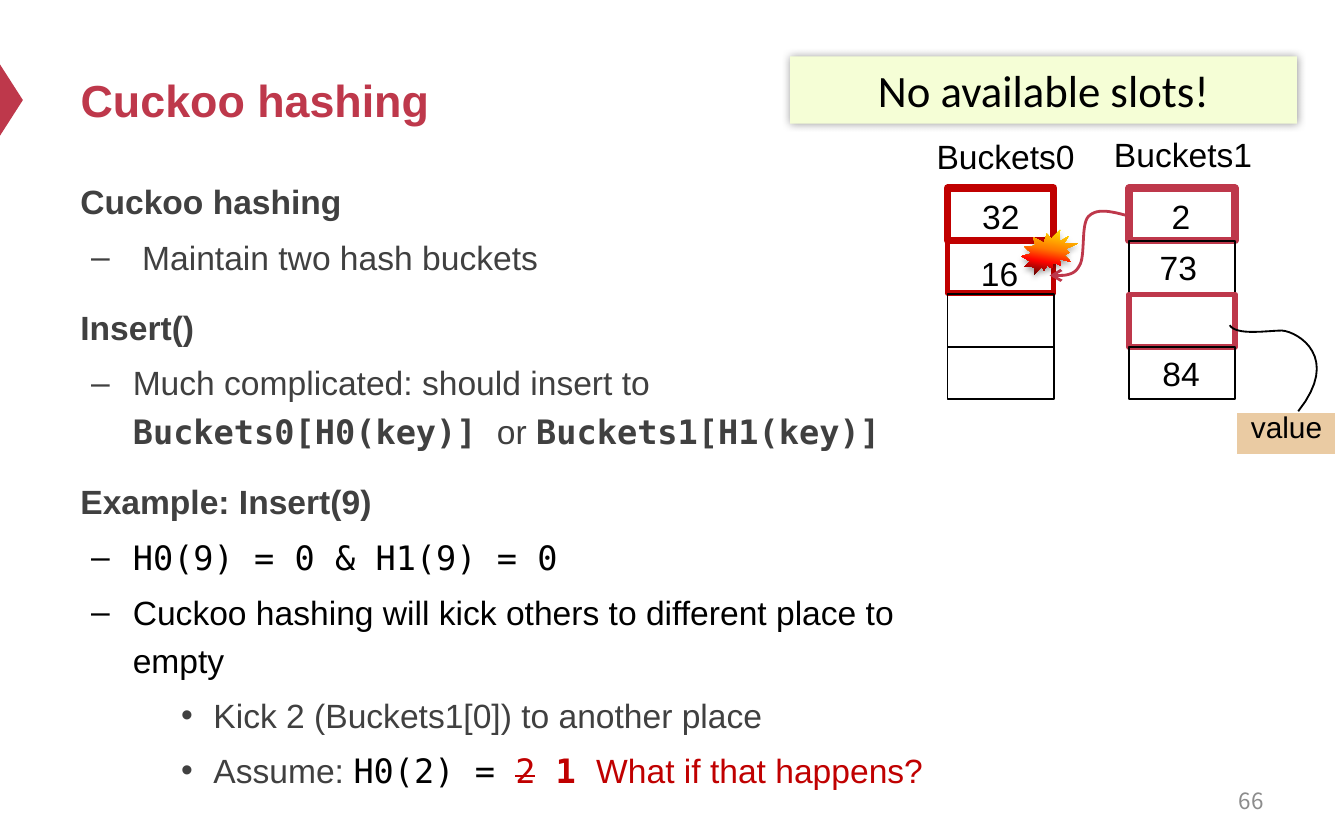
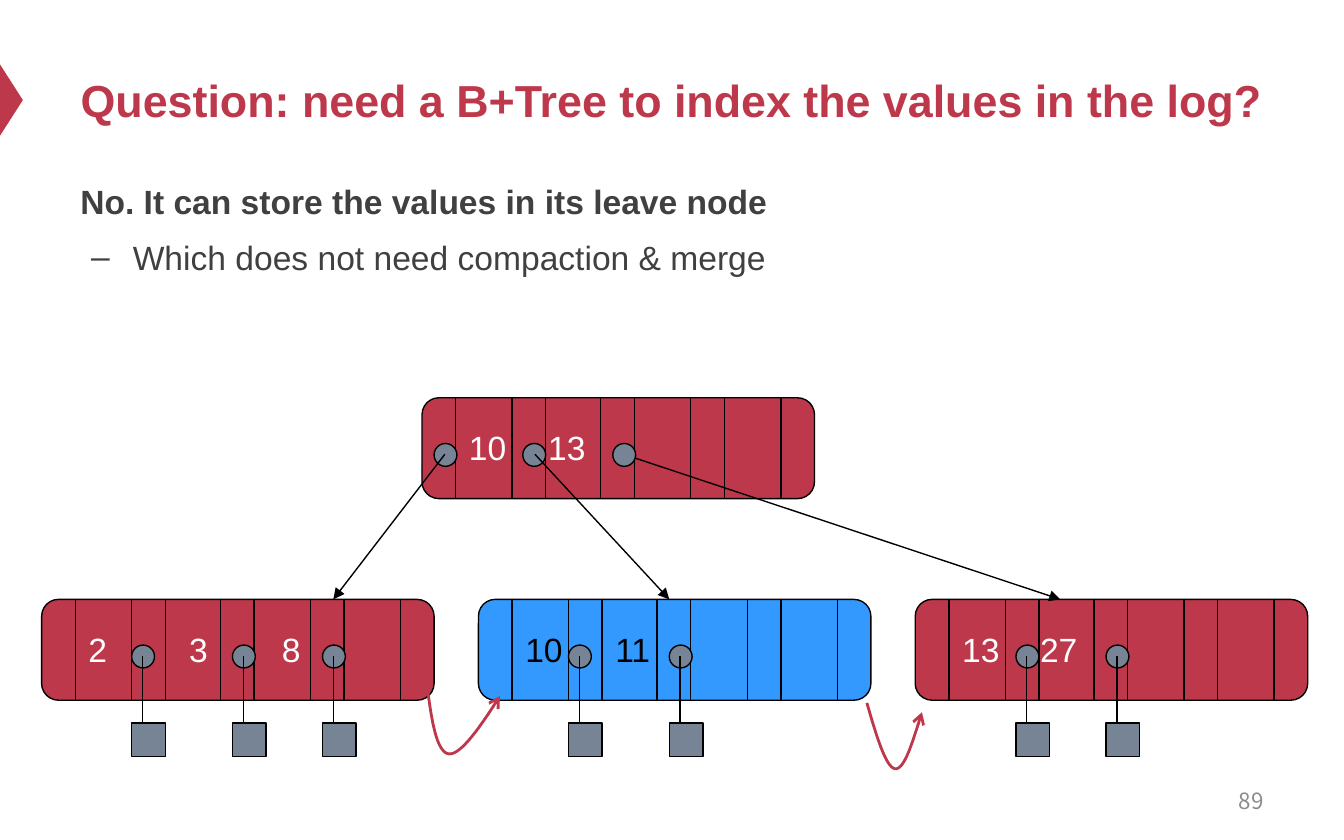
from pptx import Presentation
from pptx import util as u
from pptx.dml.color import RGBColor
from pptx.enum import shapes, text
from pptx.oxml import parse_xml
from pptx.oxml.ns import nsdecls, qn

PX = 9144  # EMU per px: 100 px to the inch
WIDTH, HEIGHT = 1000, 625

CRIMSON = RGBColor(0xBE, 0x38, 0x4B)
RED = RGBColor(0xC0, 0x00, 0x00)
BLUE = RGBColor(0x33, 0x99, 0xFF)
SLATE = RGBColor(0x77, 0x84, 0x95)
SAND = RGBColor(0xEA, 0xCB, 0xA3)
PALE_LIME = RGBColor(0xF5, 0xFE, 0xD6)
DARK_GREY = RGBColor(0x40, 0x40, 0x40)
GREY = RGBColor(0x8C, 0x8C, 0x8C)
BLACK = RGBColor(0, 0, 0)
WHITE = RGBColor(0xFF, 0xFF, 0xFF)
FLAME = [(0, "FFF200"), (45, "FF7A00"), (70, "FF0300"), (100, "4D0808")]

SANS, MONO = "Arial", "DejaVu Sans Mono"
SHAPE = shapes.MSO_SHAPE

# Per outline level: space before (pt), left margin and indent (px), bullet
LEVELS = [(12, 0, 0, None), (3.6, 39, -31, "–"), (3.6, 99, -24, "•")]

NODE_W, NODE_H = 292, 75
POINTER_SLOT, SLOT_PAIR = 25, 66.67
DOT = 17
ROOT_TOP, LEAF_TOP = 296, 446


def emu(*lengths):
    return [round(length * PX) for length in lengths]


def write(paragraph, content, *, size=18, font=SANS, color=BLACK, bold=False, strike=False):
    run = paragraph.add_run()
    run.text = content
    run.font.size = u.Pt(size)
    run.font.name = font
    run.font.color.rgb = color
    run.font.bold = bold
    if strike:
        run.font._element.set("strike", "sngStrike")


def label(slide, content, box, *, wrap=False, align=text.PP_ALIGN.LEFT,
          anchor=text.MSO_ANCHOR.TOP, **style):
    frame = slide.shapes.add_textbox(*emu(*box)).text_frame
    frame.word_wrap = wrap
    frame.vertical_anchor = anchor
    frame.paragraphs[0].alignment = align
    write(frame.paragraphs[0], content, **style)


def outline(slide, box, entries):
    """Write (level, runs) entries, each run being (text, format)."""
    frame = slide.shapes.add_textbox(*emu(*box)).text_frame
    frame.word_wrap = True
    for number, (level, runs) in enumerate(entries):
        paragraph = frame.add_paragraph() if number else frame.paragraphs[0]
        before, margin, indent, bullet = LEVELS[level]
        paragraph.level = level
        paragraph.line_spacing = 1.2
        paragraph.space_before = u.Pt(before if number else 0)
        properties = paragraph._p.get_or_add_pPr()
        properties.set("marL", str(margin * PX))
        properties.set("indent", str(indent * PX))
        if bullet:
            properties.append(parse_xml(f'<a:buFont {nsdecls("a")} typeface="{SANS}"/>'))
            properties.append(parse_xml(f'<a:buChar {nsdecls("a")} char="{bullet}"/>'))
        for content, style in runs:
            write(paragraph, content, **{"color": DARK_GREY, "bold": level == 0, **style})


def set_line(item, color, width, arrow=None):
    item.line.color.rgb = color
    item.line.width = u.Pt(width)
    if arrow:
        item.element.spPr.find(qn("a:ln")).append(
            parse_xml(f'<a:tailEnd {nsdecls("a")} type="{arrow}"/>'))


def block(slide, kind, box, fill=None, line=None, width=0.75):
    shape = slide.shapes.add_shape(kind, *emu(*box))
    shape.shadow.inherit = False
    if fill is None:
        shape.fill.background()
    else:
        shape.fill.solid()
        shape.fill.fore_color.rgb = fill
    if line is None:
        shape.line.fill.background()
    else:
        set_line(shape, line, width)
    return shape


def cast_shadow(shape, opacity, blur, distance=0, direction=0):
    shape.element.spPr.find(qn("a:effectLst")).append(parse_xml(
        f'<a:outerShdw {nsdecls("a")} blurRad="{u.Pt(blur)}" dist="{u.Pt(distance)}" '
        f'dir="{direction * 60000}" rotWithShape="0"><a:srgbClr val="000000">'
        f'<a:alpha val="{opacity * 1000}"/></a:srgbClr></a:outerShdw>'))


def fill_gradient(shape, stops, angle):
    """Fill with (percent, hex colour) stops; angle runs counter-clockwise."""
    shape.fill.gradient()
    shape.fill.gradient_angle = angle
    stop_list = shape.element.spPr.find(qn("a:gradFill")).find(qn("a:gsLst"))
    for stop in list(stop_list):
        stop_list.remove(stop)
    for percent, color in stops:
        stop_list.append(parse_xml(
            f'<a:gs {nsdecls("a")} pos="{percent * 1000}"><a:srgbClr val="{color}"/></a:gs>'))


def straight(slide, start, end, arrow=None):
    connector = slide.shapes.add_connector(
        shapes.MSO_CONNECTOR.STRAIGHT, *emu(*start, *end))
    set_line(connector, BLACK, 0.75, arrow)
    connector.element.spPr.append(parse_xml(f'<a:effectLst {nsdecls("a")}/>'))


def curve(slide, start, bends, color, width, arrow=None, steps=16):
    """Draw an open line through cubic Bezier bends (control, control, end)."""
    points, origin = [], start
    for bend in bends:
        anchors = (origin, *bend)
        for step in range(1, steps + 1):
            t = step / steps
            weights = ((1 - t) ** 3, 3 * t * (1 - t) ** 2, 3 * t * t * (1 - t), t ** 3)
            points.append(emu(*(sum(w * anchor[axis] for w, anchor in zip(weights, anchors))
                                for axis in (0, 1))))
        origin = bend[-1]
    builder = slide.shapes.build_freeform(*emu(*start))
    builder.add_line_segments(points, close=False)
    line = builder.convert_to_shape()
    line.shadow.inherit = False
    line.fill.background()
    set_line(line, color, width, arrow)


def new_slide(deck, heading, page):
    slide = deck.slides.add_slide(deck.slide_layouts[5])
    marker = block(slide, SHAPE.ISOSCELES_TRIANGLE, (-18, 66, 53, 17), CRIMSON)
    marker.rotation = 90
    title = slide.shapes.title
    title.left, title.top, title.width, title.height = emu(50, 25, 900, 98)
    frame = title.text_frame
    frame.word_wrap = True
    frame.auto_size = text.MSO_AUTO_SIZE.NONE
    frame.vertical_anchor = text.MSO_ANCHOR.MIDDLE
    frame.paragraphs[0].alignment = text.PP_ALIGN.LEFT
    write(frame.paragraphs[0], heading, size=24, color=CRIMSON, bold=True)
    label(slide, str(page), (717, 579, 233, 33), wrap=True, align=text.PP_ALIGN.RIGHT,
          anchor=text.MSO_ANCHOR.MIDDLE, size=12, font="Noto Sans CJK SC", color=GREY)
    return slide


def bucket(slide, left, borders):
    for row, (color, width) in enumerate(borders):
        block(slide, SHAPE.RECTANGLE, (left, 140 + round(row * 39.4), 79, 39),
              line=color, width=width)


def tree_node(slide, left, top, keys, fill=CRIMSON, color=WHITE):
    """Draw a node whose keys are (text, offset from the left edge)."""
    block(slide, SHAPE.ROUNDED_RECTANGLE, (left, top, NODE_W, NODE_H), fill, BLACK)
    for pair in range(4):
        for offset in (POINTER_SLOT + pair * SLOT_PAIR, (pair + 1) * SLOT_PAIR):
            x = left + round(offset)
            straight(slide, (x, top), (x, top + NODE_H))
    for key, offset in keys:
        label(slide, key, (left + offset, top + 17, 20 + 14 * len(key), 40), color=color)


def pointer_dot(slide, left, node_top):
    block(slide, SHAPE.OVAL, (left, node_top + 34, DOT, DOT), SLATE, BLACK)


def value_pointer(slide, left):
    pointer_dot(slide, left, LEAF_TOP)
    straight(slide, (left + 8, LEAF_TOP + 42), (left + 8, 555), "triangle")
    block(slide, SHAPE.RECTANGLE, (left, 538, 25, 25), SLATE, BLACK)


def cuckoo_slide(deck):
    slide = new_slide(deck, "Cuckoo hashing", 66)
    code = {"font": MONO, "bold": True}
    black_code = {"font": MONO, "color": BLACK}
    red_code = {"font": MONO, "color": RED}
    outline(slide, (50, 124, 667, 512), [
        (0, [("Cuckoo hashing", {})]),
        (1, [(" Maintain two hash buckets", {})]),
        (0, [("Insert()", {})]),
        (1, [("Much complicated: should insert to ", {}), ("Buckets0[H0(key)] ", code),
             ("or ", {}), ("Buckets1[H1(key)]", code)]),
        (0, [("Example: Insert(9)", {})]),
        (1, [("H0(9) = 0 & H1(9) = 0", black_code)]),
        (1, [("Cuckoo hashing will kick others to different place to empty",
              {"color": BLACK})]),
        (2, [("Kick 2 (Buckets1[0]) to another place", {})]),
        (2, [("Assume: ", {}), ("H0(2) = ", black_code),
             ("2", {**red_code, "strike": True}), (" ", red_code),
             ("1 ", {**red_code, "bold": True}),
             ("What if that happens?", {"color": RED})]),
    ])

    thin = (BLACK, 1)
    bucket(slide, 705, [(RED, 4), (RED, 3), thin, thin])
    bucket(slide, 840, [(CRIMSON, 4), thin, (CRIMSON, 3), thin])
    label(slide, "Buckets0", (687, 96, 131, 40), wrap=True)
    label(slide, "Buckets1", (819, 95, 131, 40), wrap=True)
    for key, left, top in [("32", 721, 141), ("16", 720, 183), ("2", 862, 141),
                           ("73", 853, 179), ("84", 855, 258)]:
        label(slide, key, (left, top, 20 + 14 * len(key), 40))

    block(slide, SHAPE.RECTANGLE, (919, 306, 76, 33), SAND, WHITE, 2)
    label(slide, "value", (921, 299, 74, 37), size=16)
    curve(slide, (966, 306), [((998, 266), (966, 247), (954, 246)),
                              ((943, 246), (920, 250), (915, 242))], BLACK, 1)
    curve(slide, (841, 161), [((829, 158), (817, 154), (810, 161)),
                              ((804, 167), (808, 191), (803, 198)),
                              ((799, 206), (790, 205), (781, 205))], CRIMSON, 1.5, "arrow")
    collision = block(slide, SHAPE.EXPLOSION2, (760, 171, 42, 33))
    fill_gradient(collision, FLAME, 260)
    cast_shadow(collision, 35, 3.1, 1.8, 90)

    banner = block(slide, SHAPE.RECTANGLE, (588, 42, 377, 50), PALE_LIME)
    cast_shadow(banner, 40, 5)
    banner.text_frame.vertical_anchor = text.MSO_ANCHOR.TOP
    notice = banner.text_frame.paragraphs[0]
    notice.alignment = text.PP_ALIGN.CENTER
    write(notice, "No available slots!", size=24, font="Calibri")


def tree_slide(deck):
    slide = new_slide(deck, "Question: need a B+Tree to index the values in the log?", 89)
    outline(slide, (50, 124, 900, 412), [
        (0, [("No. It can store the values in its leave node", {})]),
        (1, [("Which does not need compaction & merge", {})]),
    ])

    tree_node(slide, 314, ROOT_TOP, [("10", 25), ("13", 84)])
    tree_node(slide, 31, LEAF_TOP, [("2", 25), ("3", 100), ("8", 169)])
    tree_node(slide, 356, LEAF_TOP, [("10", 25), ("11", 92)], BLUE, BLACK)
    tree_node(slide, 681, LEAF_TOP, [("13", 25), ("27", 83)])
    for left in (98, 173, 240, 423, 498, 756, 823):
        value_pointer(slide, left)

    link_y = ROOT_TOP + 42
    straight(slide, (464, link_y), (789, LEAF_TOP), "triangle")
    for left in (323, 389, 456):
        pointer_dot(slide, left, ROOT_TOP)
    straight(slide, (331, link_y), (248, LEAF_TOP), "triangle")
    straight(slide, (398, link_y), (498, LEAF_TOP), "triangle")

    for start, bend in [((318, 511), ((321, 536), (325, 560), (334, 561))),
                        ((645, 523), ((652, 547), (659, 571), (666, 572)))]:
        low_x, low_y = bend[-1]
        reach = 372 if start[0] == 318 else 686
        rise = ((low_x + 9, low_y + 1), (reach - 14, low_y - 21), (reach, low_y - 43))
        if reach == 686:
            rise = ((673, 573), (679, 552), (686, 530))
        curve(slide, start, [bend, rise], CRIMSON, 1.5, "arrow")


def main():
    deck = Presentation()
    deck.slide_width, deck.slide_height = emu(WIDTH, HEIGHT)
    cuckoo_slide(deck)
    tree_slide(deck)
    deck.save("out.pptx")


if __name__ == "__main__":
    main()
